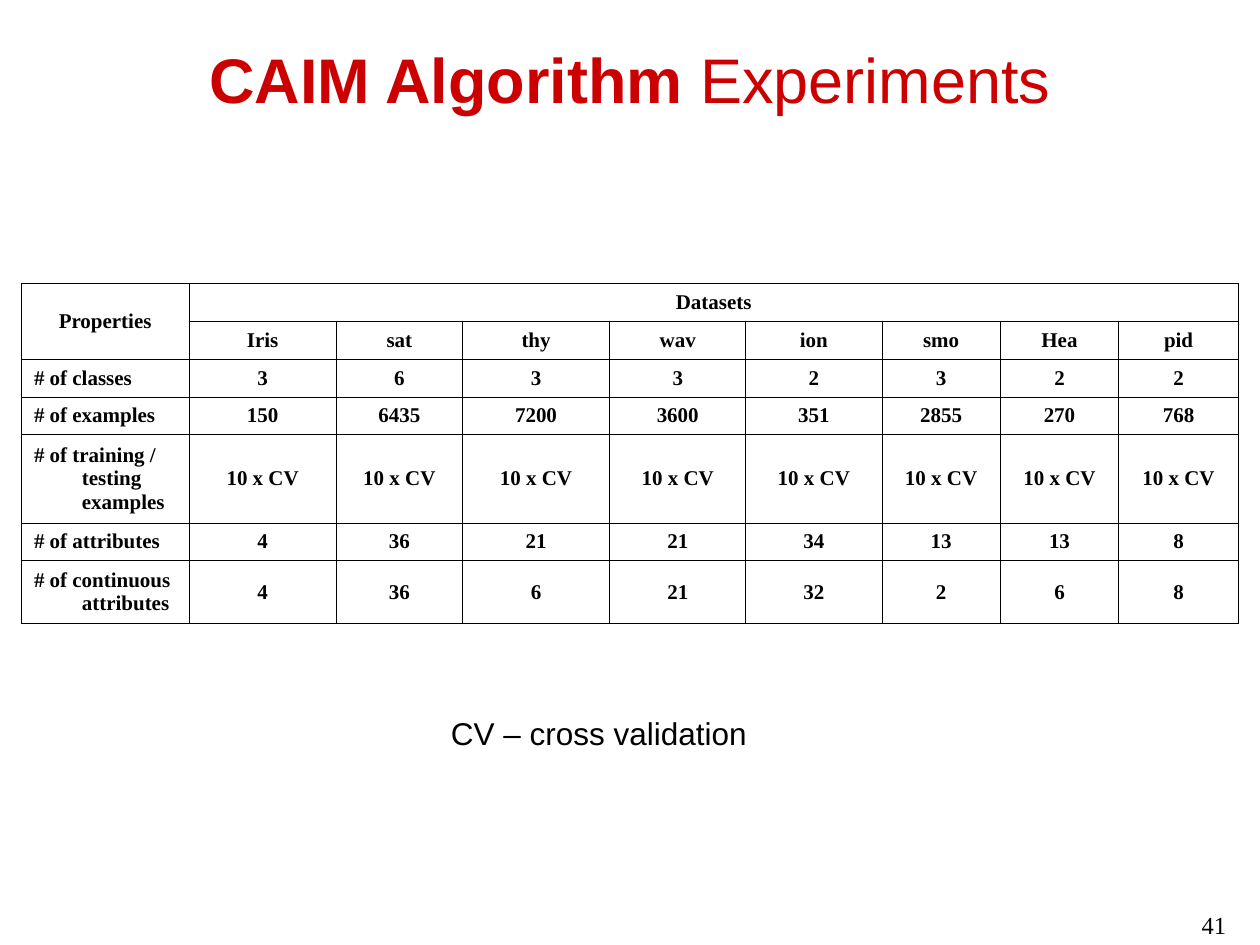
import pptx
import pptx.util
import pptx.dml.color
import pptx.enum.text
import pptx.oxml
import pptx.oxml.ns

Inches, Pt = pptx.util.Inches, pptx.util.Pt
ALIGN, ANCHOR = pptx.enum.text.PP_ALIGN, pptx.enum.text.MSO_ANCHOR
COLORS = {"title": "CC0000", "text": "000000"}


def add_text(p, text, size, font="Arial", color="text", bold=False, align=ALIGN.LEFT):
    p.alignment = align
    r = p.add_run()
    r.text = text
    r.font.size = Pt(size)
    r.font.name = font
    r.font.bold = bold
    r.font.color.rgb = pptx.dml.color.RGBColor.from_string(COLORS[color])


def add_borders(cell):
    tcPr = cell._tc.get_or_add_tcPr()
    for side in "LRTB":
        tcPr.append(pptx.oxml.parse_xml(
            f'<a:ln{side} {pptx.oxml.ns.nsdecls("a")} w="{Pt(0.45)}"><a:solidFill>'
            f'<a:srgbClr val="{COLORS["text"]}"/></a:solidFill></a:ln{side}>'))


prs = pptx.Presentation()
prs.slide_width, prs.slide_height = Inches(10), Inches(7.5)
s = prs.slides.add_slide(prs.slide_layouts[5])

title = s.shapes.title
title.left, title.top, title.width, title.height = Inches(0.5), 0, Inches(9), Inches(1.25)
title.text_frame.vertical_anchor = ANCHOR.MIDDLE
p = title.text_frame.paragraphs[0]
add_text(p, "CAIM Algorithm", 36, color="title", bold=True, align=ALIGN.CENTER)
add_text(p, " Experiments", 36, color="title", align=ALIGN.CENTER)

rows = [
    ["Properties", "Datasets"] + [""] * 7,
    ["", "Iris", "sat", "thy", "wav", "ion", "smo", "Hea", "pid"],
    ["# of classes", 3, 6, 3, 3, 2, 3, 2, 2],
    ["# of examples", 150, 6435, 7200, 3600, 351, 2855, 270, 768],
    ["# of training / testing examples"] + ["10 x CV"] * 8,
    ["# of attributes", 4, 36, 21, 21, 34, 13, 13, 8],
    ["# of continuous attributes", 4, 36, 6, 21, 32, 2, 6, 8],
]
widths = [1.33, 1.17, 1, 1.17, 1.08, 1.08, 0.94, 0.94, 0.95]
heights = [0.3, 0.3, 0.3, 0.3, 0.7, 0.3, 0.5]
table = s.shapes.add_table(len(rows), len(widths), Inches(0.17), Inches(2.25),
                           Inches(sum(widths)), Inches(sum(heights))).table
table.first_row = table.horz_banding = False
for col, width in zip(table.columns, widths):
    col.width = Inches(width)
for row, height in zip(table.rows, heights):
    row.height = Inches(height)
table.cell(0, 0).merge(table.cell(1, 0))
table.cell(0, 1).merge(table.cell(0, 8))

for i, values in enumerate(rows):
    for j, value in enumerate(values):
        cell = table.cell(i, j)
        add_borders(cell)
        cell.fill.background()
        cell.vertical_anchor = ANCHOR.MIDDLE
        if cell.is_spanned:
            continue
        p = cell.text_frame.paragraphs[0]
        pPr = p._p.get_or_add_pPr()
        pPr.set("marL", str(Inches(0.38)))
        pPr.set("indent", str(-Inches(0.38)))
        is_label = j == 0 and i > 1
        add_text(p, str(value), 12, font="Times New Roman", bold=True,
                 align=ALIGN.LEFT if is_label else ALIGN.CENTER)

note = s.shapes.add_textbox(Inches(3.48), Inches(5.62), Inches(2.55), Inches(0.4))
note.text_frame.word_wrap = False
note.text_frame.auto_size = pptx.enum.text.MSO_AUTO_SIZE.SHAPE_TO_FIT_TEXT
add_text(note.text_frame.paragraphs[0], "CV – cross validation", 18)

number = s.shapes.add_textbox(Inches(7.5), Inches(7.17), Inches(2.33), Inches(0.52))
number.text_frame.word_wrap = True
add_text(number.text_frame.paragraphs[0], "41", 14, font="Times New Roman", align=ALIGN.RIGHT)

prs.save("out.pptx")
